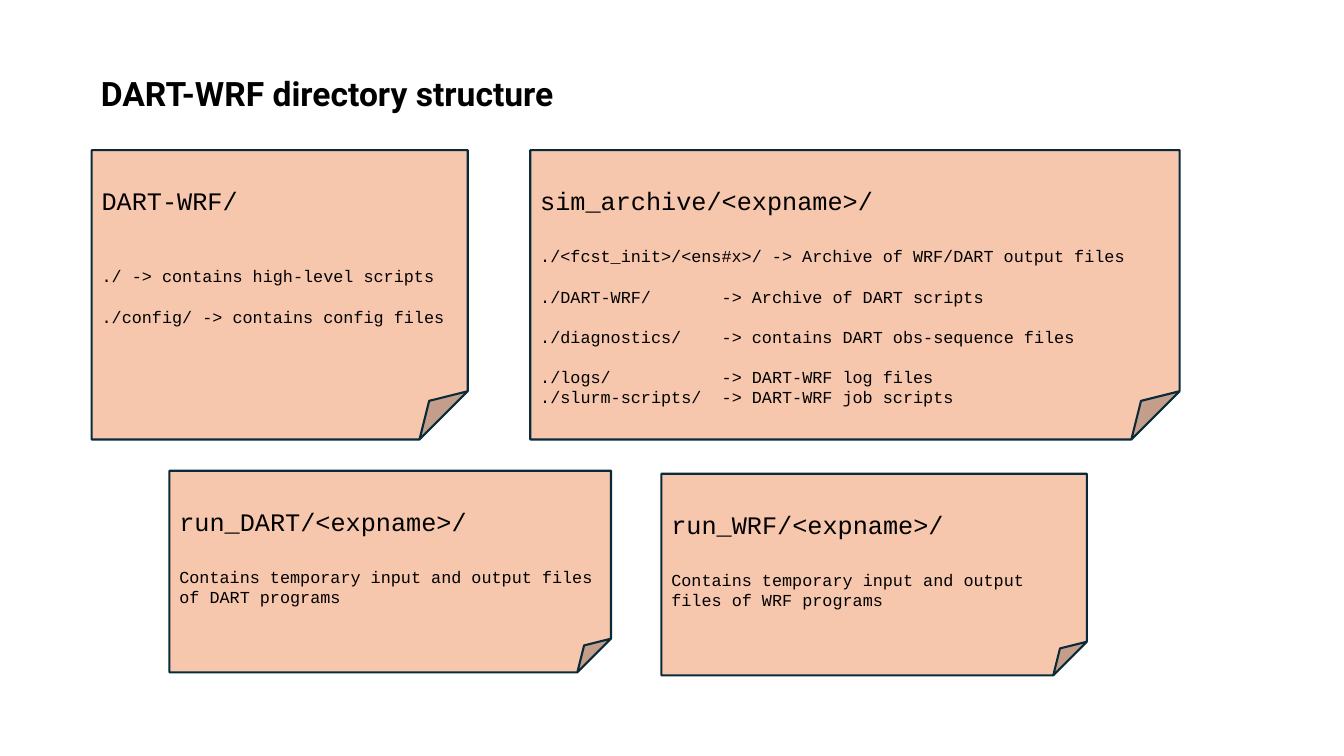
from dataclasses import dataclass

from lxml import etree
from pptx import Presentation
from pptx.dml.color import RGBColor
from pptx.enum import shapes, text
from pptx.oxml import ns
from pptx.util import Inches, Pt

COLOURS = {"note": "F6C6AD", "outline": "092A39", "ink": "000000"}
LINE_FACTOR = 1.2
HEADING_SIZE = 18
DETAIL_SIZE = 12
DETAIL_GAP = DETAIL_SIZE * LINE_FACTOR
HEADING_GAP = HEADING_SIZE * LINE_FACTOR
ARROW_COLUMN = 1.8


@dataclass
class Note:
    left: float
    top: float
    width: float
    height: float
    heading: str
    details: list[str]
    heading_gap: float = HEADING_GAP


NOTES = [
    Note(0.91, 1.49, 3.73, 2.87, "DART-WRF/", [
        "./ -> contains high-level scripts",
        "./config/ -> contains config files",
    ], HEADING_GAP + DETAIL_GAP),
    Note(1.68, 4.67, 4.38, 2, "run_DART/<expname>/", [
        "Contains temporary input and output files of DART programs",
    ]),
    Note(6.56, 4.7, 4.22, 2, "run_WRF/<expname>/", [
        "Contains temporary input and output files of WRF programs",
    ]),
    Note(5.26, 1.49, 6.44, 2.87, "sim_archive/<expname>/", [
        "./<fcst_init>/<ens#x>/ -> Archive of WRF/DART output files",
        "./DART-WRF/\t-> Archive of DART scripts",
        "./diagnostics/\t-> contains DART obs-sequence files",
        "./logs/\t-> DART-WRF log files\v./slurm-scripts/\t-> DART-WRF job scripts",
    ]),
]


def colour(name: str) -> RGBColor:
    return RGBColor.from_string(COLOURS[name])


def apply(target, values: dict) -> None:
    for name, value in values.items():
        setattr(target, name, value)


def write(para, words: str, font: str, size: float, bold: bool = False) -> None:
    para.text = words
    for span in para.runs:
        apply(span.font, {"name": font, "size": Pt(size), "bold": bold})
        span.font.color.rgb = colour("ink")


def add_tab_stop(para, position: float) -> None:
    tabs = etree.SubElement(para._p.get_or_add_pPr(), ns.qn("a:tabLst"))
    etree.SubElement(tabs, ns.qn("a:tab"), pos=str(Inches(position)), algn="l")


def add_title(page, words: str) -> None:
    box = page.shapes.title
    apply(box, {"left": Inches(0.9), "top": Inches(0.67),
                "width": Inches(5.05), "height": Inches(0.5)})
    apply(box.text_frame, {"word_wrap": True,
                           "auto_size": text.MSO_AUTO_SIZE.SHAPE_TO_FIT_TEXT,
                           "vertical_anchor": text.MSO_ANCHOR.TOP})
    para = box.text_frame.paragraphs[0]
    para.alignment = text.PP_ALIGN.LEFT
    write(para, words, "Roboto", 24, True)


def add_note(page, note: Note) -> None:
    box = page.shapes.add_shape(
        shapes.MSO_SHAPE.FOLDED_CORNER,
        Inches(note.left), Inches(note.top), Inches(note.width), Inches(note.height))
    box.shadow.inherit = False
    box.fill.solid()
    box.fill.fore_color.rgb = colour("note")
    box.line.color.rgb = colour("outline")
    box.line.width = Pt(1.5)
    frame = box.text_frame
    apply(frame, {"word_wrap": True, "margin_top": Inches(0.35),
                  "vertical_anchor": text.MSO_ANCHOR.TOP})
    for index, words in enumerate([note.heading, *note.details]):
        para = frame.add_paragraph() if index else frame.paragraphs[0]
        size = DETAIL_SIZE if index else HEADING_SIZE
        gap = (0, note.heading_gap, DETAIL_GAP)[min(index, 2)]
        apply(para, {"alignment": text.PP_ALIGN.LEFT, "space_before": Pt(gap),
                     "line_spacing": Pt(size * LINE_FACTOR)})
        if "\t" in words:
            add_tab_stop(para, ARROW_COLUMN)
        write(para, words, "Courier New", size)


def main() -> None:
    deck = Presentation()
    apply(deck, {"slide_width": Inches(13.33), "slide_height": Inches(7.5)})
    page = deck.slides.add_slide(deck.slide_layouts.get_by_name("Title Only"))
    add_title(page, "DART-WRF directory structure")
    for note in NOTES:
        add_note(page, note)
    deck.save("out.pptx")


if __name__ == "__main__":
    main()
